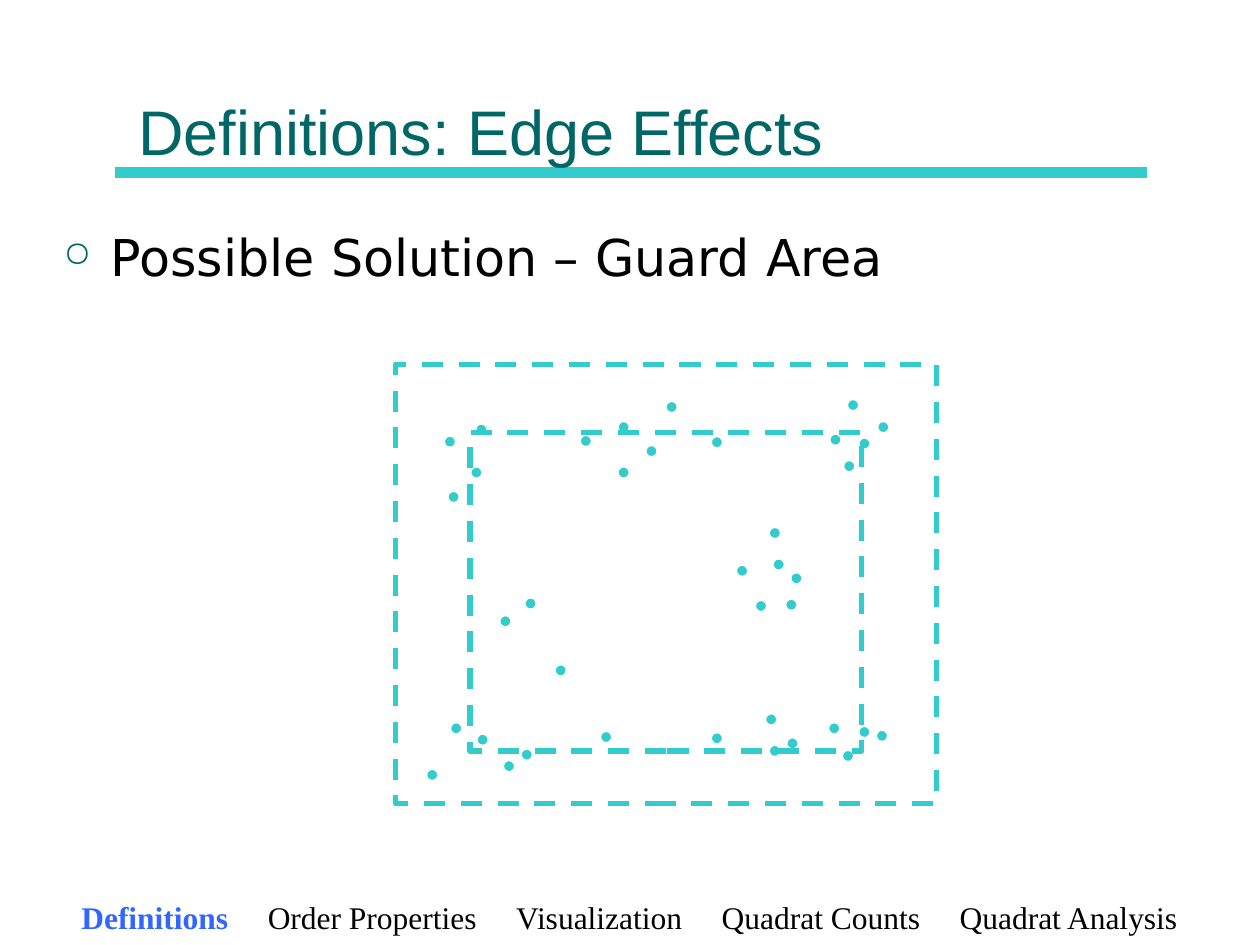
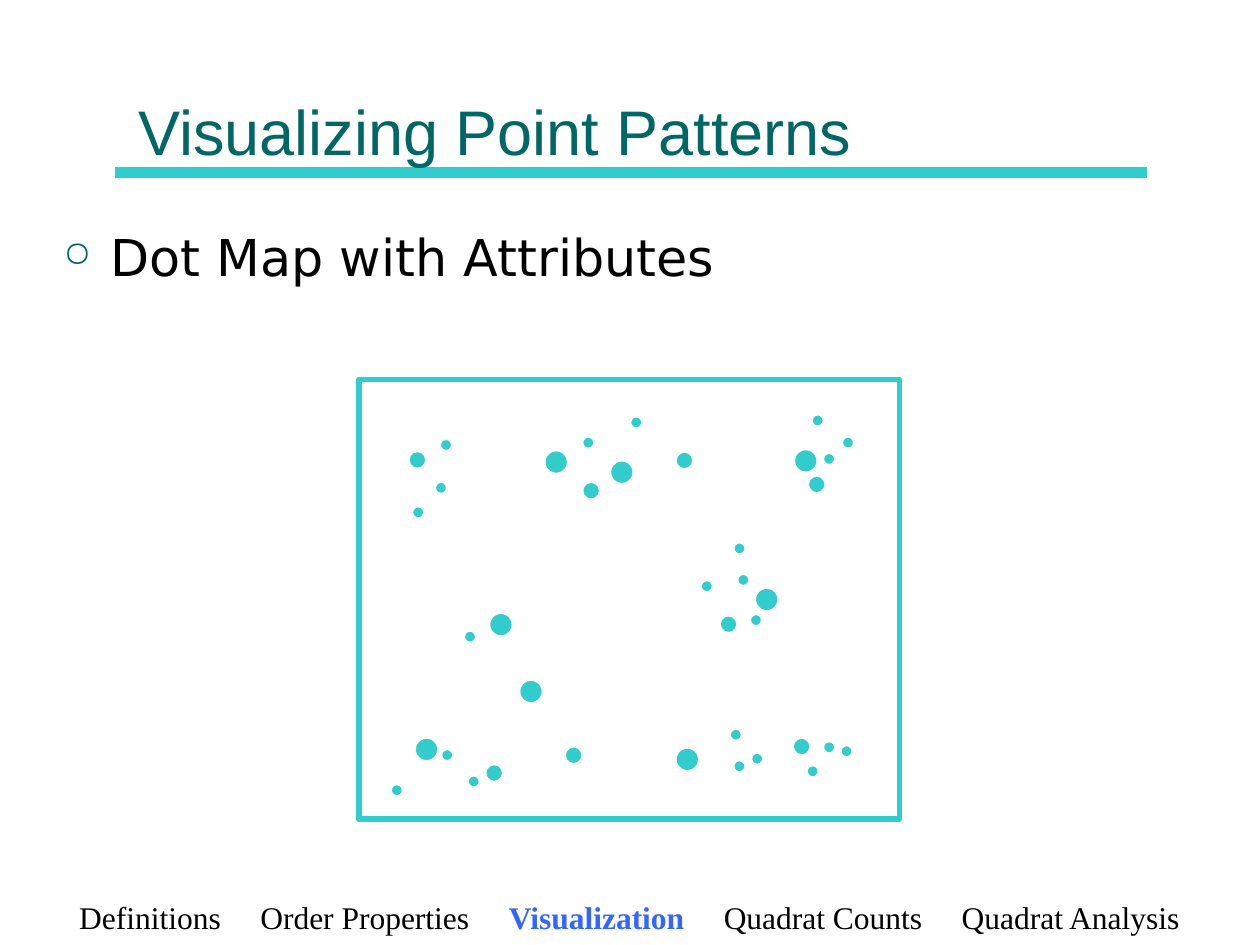
from lxml.etree import SubElement
from pptx import Presentation
from pptx.dml.color import RGBColor
from pptx.enum.dml import MSO_LINE
from pptx.enum.shapes import MSO_CONNECTOR, MSO_SHAPE
from pptx.enum.text import MSO_ANCHOR, PP_ALIGN
from pptx.oxml.ns import qn
from pptx.util import Pt

TURQUOISE = RGBColor(0x33, 0xCC, 0xCC)
TEAL = RGBColor(0x00, 0x66, 0x66)
BLACK = RGBColor(0x00, 0x00, 0x00)
WHITE = RGBColor(0xFF, 0xFF, 0xFF)
ACTIVE_BLUE = RGBColor(0x33, 0x66, 0xFF)

SECTIONS = ["Definitions", "Order Properties", "Visualization",
            "Quadrat Counts", "Quadrat Analysis"]
SECTION_SPACING = 18

AREA_WIDTH, AREA_HEIGHT = 308.9, 251.3
SMALL, MEDIUM, LARGE = 7.2, 10.4, 13.7

EVENTS = [
    (226.1, 118.8, LARGE), (105.8, 40.3, LARGE), (46.1, 33.8, SMALL),
    (275.8, 32.4, SMALL), (223.2, 133.9, SMALL), (180.7, 41, MEDIUM),
    (43.2, 58.3, SMALL), (195.1, 114.5, SMALL), (127.4, 58.3, MEDIUM),
    (74.2, 133.2, LARGE), (28.1, 40.7, MEDIUM), (59.8, 143.3, SMALL),
    (216, 110.9, SMALL), (154.8, 20.9, SMALL), (127.4, 32.4, SMALL),
    (30.2, 72.3, SMALL), (143.3, 46.1, LARGE), (248.4, 39.6, LARGE),
    (258.5, 19.8, SMALL), (205.9, 134.6, MEDIUM), (91.4, 171.4, LARGE),
    (213.8, 92.9, SMALL), (256.3, 54.7, MEDIUM), (265, 41.8, SMALL),
    (61.9, 226.1, SMALL), (31.7, 204.5, LARGE), (46.8, 211, SMALL),
    (72, 219.6, MEDIUM), (18, 231.1, SMALL), (223.9, 213.1, SMALL),
    (275, 208.8, SMALL), (213.8, 217.4, SMALL), (247.7, 204.5, MEDIUM),
    (211.7, 199.4, SMALL), (255.6, 220.3, SMALL), (265, 206.6, SMALL),
    (117.4, 209.5, MEDIUM), (180.7, 210.2, LARGE),
]


def add_text_frame(slide, left, top, width, height, side_inset, edge_inset):
    frame = slide.shapes.add_textbox(
        Pt(left), Pt(top), Pt(width), Pt(height)).text_frame
    frame.word_wrap = True
    frame.margin_left = frame.margin_right = Pt(side_inset)
    frame.margin_top = frame.margin_bottom = Pt(edge_inset)
    return frame


def add_run(paragraph, text, font_name, size, color, bold=False):
    run = paragraph.add_run()
    run.text = text
    run.font.name = font_name
    run.font.size = Pt(size)
    run.font.color.rgb = color
    run.font.bold = bold
    return run


def add_title(slide, text):
    rule = slide.shapes.add_connector(
        MSO_CONNECTOR.STRAIGHT, Pt(65.5), Pt(98.6), Pt(655.2), Pt(98.6))
    rule.line.color.rgb = TURQUOISE
    rule.line.width = Pt(6)
    SubElement(rule._element.spPr, qn("a:effectLst"))
    title = add_text_frame(slide, 72, 8.6, 576, 90, 7.2, 2.5)
    title.vertical_anchor = MSO_ANCHOR.BOTTOM
    add_run(title.paragraphs[0], text, "Arial", 36, TEAL)


def add_bullet(slide, text):
    body = add_text_frame(slide, 30.2, 123.1, 657.4, 324, 6, 6)
    paragraph = body.paragraphs[0]
    properties = paragraph._p.get_or_add_pPr()
    properties.set("marL", str(Pt(27)))
    properties.set("indent", str(-Pt(27)))
    bullet_color = SubElement(properties, qn("a:buClr"))
    SubElement(bullet_color, qn("a:srgbClr"), val=str(TEAL))
    SubElement(properties, qn("a:buSzPct"), val="70000")
    SubElement(properties, qn("a:buChar"), char="○")
    add_run(paragraph, text, "DejaVu Sans", 29, BLACK)


def add_section_bar(slide, active):
    bar = add_text_frame(slide, 28.8, 509.8, 661.7, 30, 7.2, 3.6)
    paragraph = bar.paragraphs[0]
    paragraph.alignment = PP_ALIGN.CENTER
    for index, section in enumerate(SECTIONS):
        if index:
            gap = add_run(paragraph, " ", "Times New Roman", 18, BLACK)
            gap.font._element.set("spc", str(SECTION_SPACING * 100))
        is_active = section == active
        add_run(paragraph, section, "Times New Roman", 18,
                ACTIVE_BLUE if is_active else BLACK, is_active)


def add_boundary(slide, left, top, width, height, dashed=False):
    boundary = slide.shapes.add_shape(
        MSO_SHAPE.RECTANGLE, Pt(left), Pt(top), Pt(width), Pt(height))
    boundary.shadow.inherit = False
    boundary.fill.background()
    boundary.line.color.rgb = TURQUOISE
    boundary.line.width = Pt(3)
    if dashed:
        boundary.line.dash_style = MSO_LINE.DASH


def add_events(slide, left, top, sized_by_attribute):
    for x, y, attribute_size in EVENTS:
        size = Pt(attribute_size if sized_by_attribute else SMALL)
        event = slide.shapes.add_shape(
            MSO_SHAPE.OVAL, Pt(left + x), Pt(top + y), size, size)
        event.shadow.inherit = False
        event.fill.solid()
        event.fill.fore_color.rgb = TURQUOISE
        event.line.color.rgb = WHITE
        event.line.width = Pt(1.5)


def add_content_slide(presentation, title, bullet, section):
    slide = presentation.slides.add_slide(presentation.slide_layouts[6])
    add_title(slide, title)
    add_bullet(slide, bullet)
    add_section_bar(slide, section)
    return slide


def main():
    presentation = Presentation()
    presentation.slide_width = Pt(720)
    presentation.slide_height = Pt(540)

    edge_effects = add_content_slide(
        presentation, "Definitions: Edge Effects",
        "Possible Solution – Guard Area", "Definitions")
    add_events(edge_effects, 225.4, 208.1, sized_by_attribute=False)
    add_boundary(edge_effects, 268.6, 247, 223.9, 182.2, dashed=True)
    add_boundary(edge_effects, 226.1, 208.1, AREA_WIDTH, AREA_HEIGHT, dashed=True)

    dot_map = add_content_slide(
        presentation, "Visualizing Point Patterns",
        "Dot Map with Attributes", "Visualization")
    add_boundary(dot_map, 205.2, 216.7, AREA_WIDTH, AREA_HEIGHT)
    add_events(dot_map, 205.2, 216.9, sized_by_attribute=True)

    presentation.save("out.pptx")


if __name__ == "__main__":
    main()
